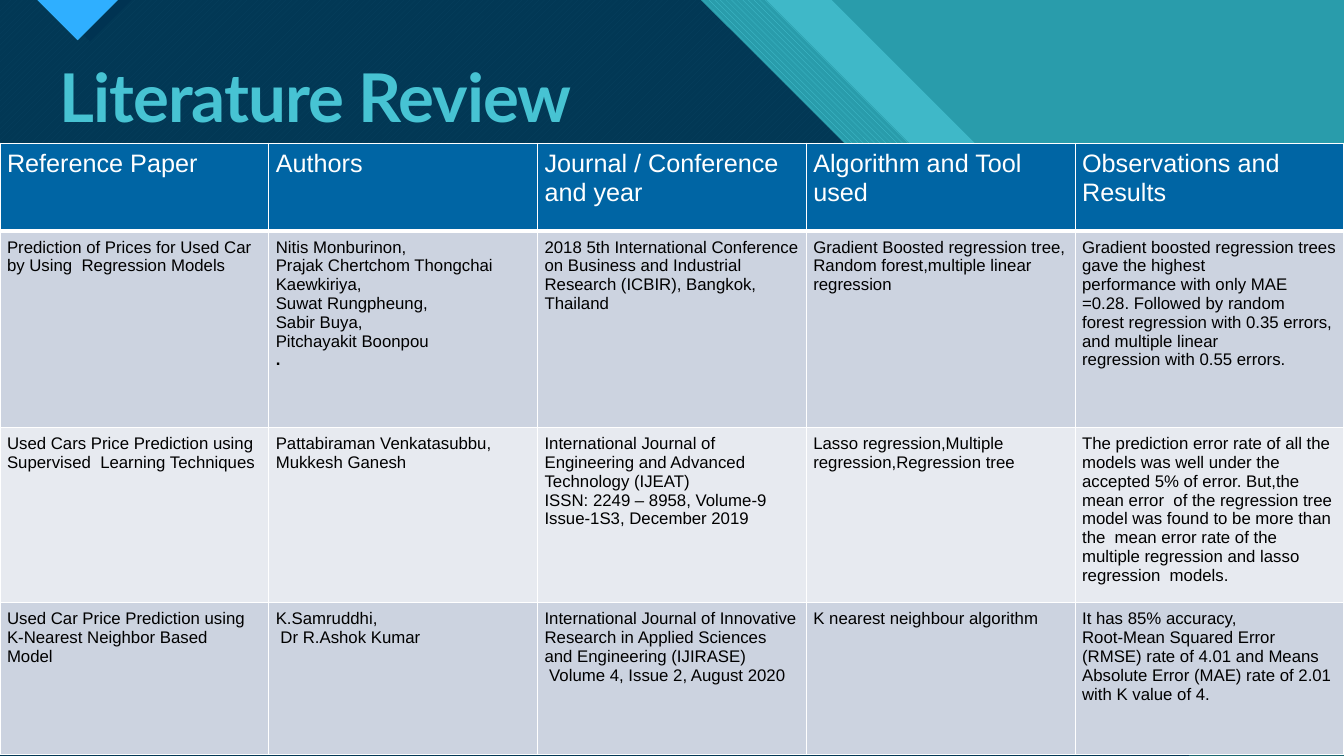
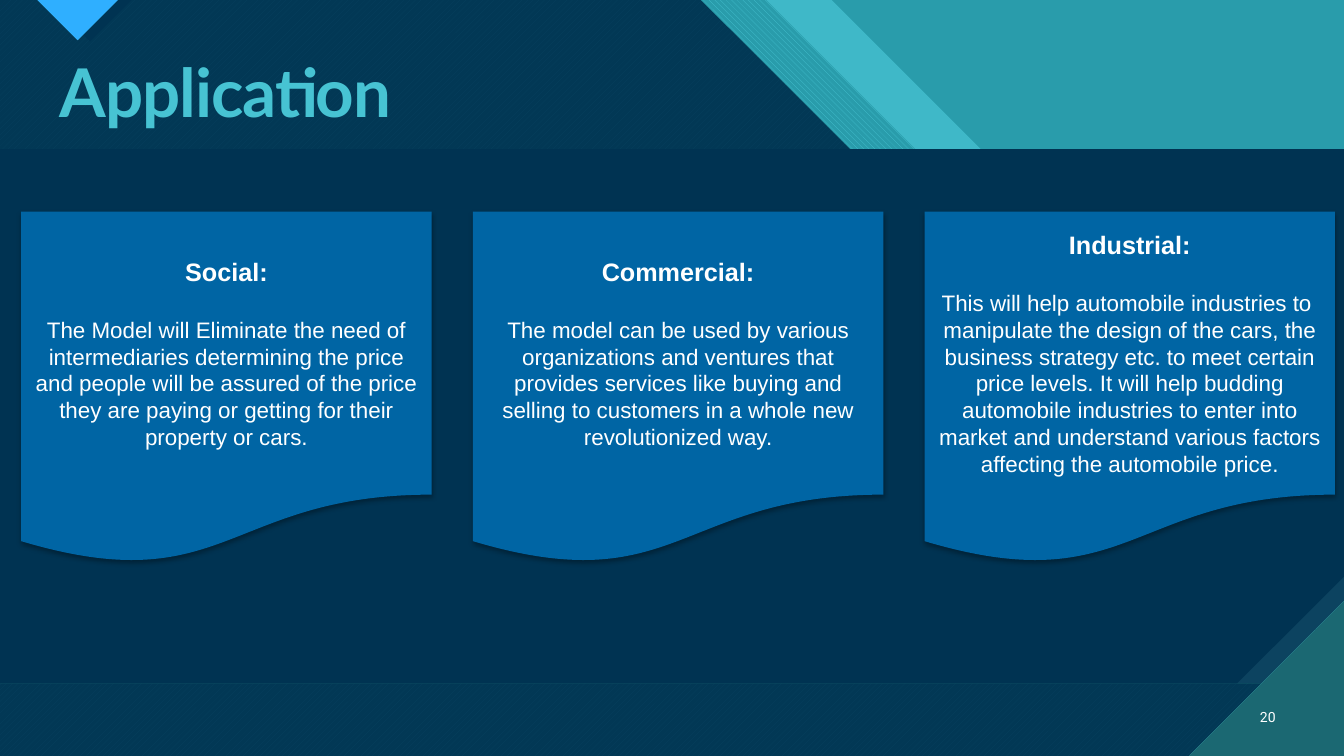
"""Build a literature review table slide and an application cards slide."""
from dataclasses import dataclass
from typing import Optional

from lxml import etree
from pptx import Presentation
from pptx.dml.color import RGBColor
from pptx.enum.dml import MSO_PATTERN
from pptx.enum.shapes import MSO_SHAPE
from pptx.enum.text import MSO_ANCHOR, MSO_AUTO_SIZE, PP_ALIGN
from pptx.oxml.ns import qn
from pptx.util import Emu, Inches, Pt

RECT, SNIP = MSO_SHAPE.RECTANGLE, MSO_SHAPE.SNIP_1_RECTANGLE
TRIANGLE, CORNER = MSO_SHAPE.ISOSCELES_TRIANGLE, MSO_SHAPE.RIGHT_TRIANGLE
DOCUMENT = MSO_SHAPE.FLOWCHART_DOCUMENT
DOWN_DIAG, UP_DIAG = MSO_PATTERN.WIDE_DOWNWARD_DIAGONAL, MSO_PATTERN.WIDE_UPWARD_DIAGONAL
DARK_HORZ, DARK_VERT = MSO_PATTERN.DARK_HORIZONTAL, MSO_PATTERN.DARK_VERTICAL
TOP, MIDDLE = MSO_ANCHOR.TOP, MSO_ANCHOR.MIDDLE
LEFT, CENTER, RIGHT = PP_ALIGN.LEFT, PP_ALIGN.CENTER, PP_ALIGN.RIGHT
WIDTH, HEIGHT = Inches(13.33), Inches(7.5)
TITLE_ONLY = 5


@dataclass(frozen=True)
class Theme:
    """Colours, fonts and type sizes of the deck."""
    teal: str = "299CAB"
    light: str = "47C3D3"
    deep: str = "1B6872"
    navy: str = "003352"
    slate: str = "0C4360"
    sky: str = "2FAFFF"
    blue: str = "0065A4"
    row_dark: str = "CCD3E0"
    row_light: str = "E7EAF0"
    white: str = "FFFFFF"
    black: str = "000000"
    title_font: str = "Lato"
    body_font: str = "Arial"
    number_font: str = "Roboto"
    title_size: int = 48
    head_size: int = 18
    card_size: int = 16
    cell_size: int = 12
    number_size: int = 10


T = Theme()


@dataclass(frozen=True)
class Paint:
    """A solid, translucent or patterned fill."""
    colour: str
    alpha: int = 100
    pattern: Optional[int] = None
    back: str = T.deep


@dataclass(frozen=True)
class Box:
    """A frame in percent of the slide's width and height."""
    left: float
    top: float
    width: float
    height: float

    def emu(self) -> tuple:
        """Return the frame as left, top, width and height in EMU."""
        return px(self.left), py(self.top), px(self.width), py(self.height)


@dataclass(frozen=True)
class Band:
    """A field whose right edge slopes down from a point on the top edge."""
    start: float
    paint: Paint


@dataclass(frozen=True)
class Layer:
    """A preset shape of the backdrop."""
    preset: int
    box: Box
    paint: Paint
    flip: str = ""
    adjust: Optional[float] = None


@dataclass(frozen=True)
class Card:
    """A heading and the text below it."""
    heading: str
    text: str


SLOPE_RUN, SLOPE_DROP = 22.28, 39.6
PANEL = Box(0, 19.73, 100, 70.67)
BANDS = [
    Band(61.88, Paint(T.light, 74)),
    Band(57, Paint(T.light, pattern=DOWN_DIAG, back=T.teal)),
    Band(52.14, Paint(T.light, pattern=UP_DIAG)),
    Band(52.14, Paint(T.navy, 90)),
]
LAYERS = [
    Layer(TRIANGLE, Box(3.6, 0, 6.2, 5.47), Paint(T.navy), "flipV"),
    Layer(TRIANGLE, Box(2.78, 0, 6, 5.33), Paint(T.sky, pattern=DARK_HORZ), "flipV"),
    Layer(RECT, PANEL, Paint(T.slate, pattern=DARK_VERT)),
    Layer(SNIP, PANEL, Paint(T.navy), "flipV", 0.2),
    Layer(CORNER, Box(88.45, 79.47, 11.55, 20.53),
          Paint(T.deep, pattern=DARK_HORZ, back=T.light), "flipH"),
]

TABLE_TOP = 18.93
ROW_HEIGHTS = [11.6, 26, 23.2, 20.13]
ROW_FILLS = [T.blue, T.row_dark, T.row_light, T.row_dark]
REVIEW = [
    ["Reference Paper", "Authors", "Journal / Conference and year",
     "Algorithm and Tool used", "Observations and Results"],
    ["Prediction of Prices for Used Car by Using  Regression Models",
     "Nitis Monburinon,\nPrajak Chertchom Thongchai Kaewkiriya,\nSuwat Rungpheung,\n"
     "Sabir Buya,\nPitchayakit Boonpou\n.",
     "2018 5th International Conference on Business and Industrial Research (ICBIR), "
     "Bangkok, Thailand",
     "Gradient Boosted regression tree,\nRandom forest,multiple linear regression",
     "Gradient boosted regression trees gave the highest\n"
     "performance with only MAE =0.28. Followed by random\n"
     "forest regression with 0.35 errors, and multiple linear\n"
     "regression with 0.55 errors."],
    ["Used Cars Price Prediction using Supervised  Learning Techniques",
     "Pattabiraman Venkatasubbu, Mukkesh Ganesh",
     "International Journal of Engineering and Advanced Technology (IJEAT)\n"
     "ISSN: 2249 – 8958, Volume-9 Issue-1S3, December 2019",
     "Lasso regression,Multiple regression,Regression tree",
     "The prediction error rate of all the models was well under the  accepted 5% of "
     "error. But,the mean error  of the regression tree model was found to be more than "
     "the  mean error rate of the multiple regression and lasso regression  models."],
    ["Used Car Price Prediction using K-Nearest Neighbor Based\nModel",
     "K.Samruddhi,\n Dr R.Ashok Kumar",
     "International Journal of Innovative Research in Applied Sciences and Engineering "
     "(IJIRASE)\n Volume 4, Issue 2, August 2020",
     "K nearest neighbour algorithm",
     "It has 85% accuracy,\nRoot-Mean Squared Error (RMSE) rate of 4.01 and Means\n"
     "Absolute Error (MAE) rate of 2.01 with K value of 4."],
]

FIRST_CARD = Box(1.58, 28, 30.53, 46.67)
CARD_PITCH = 33.61
CARDS = [
    Card("Social:",
         "The Model will Eliminate the need of intermediaries determining the price and "
         "people will be assured of the price they are paying or getting for their "
         "property or cars."),
    Card("Commercial:",
         "The model can be used by various organizations and ventures that provides "
         "services like buying and selling to customers in a whole new revolutionized way."),
    Card("Industrial:",
         "This will help automobile industries to  manipulate the design of the cars, the "
         "business strategy etc. to meet certain price levels. It will help budding "
         "automobile industries to enter into market and understand various factors "
         "affecting the automobile price."),
]


def px(share: float) -> Emu:
    """Turn a percentage of the slide's width into EMU."""
    return Emu(round(WIDTH * share / 100))


def py(share: float) -> Emu:
    """Turn a percentage of the slide's height into EMU."""
    return Emu(round(HEIGHT * share / 100))


def rgb(colour: str) -> RGBColor:
    """Return the colour object of a hex string."""
    return RGBColor.from_string(colour)


def apply_paint(sp, paint: Paint) -> None:
    """Fill a shape and take away its line and shadow."""
    sp.shadow.inherit = False
    sp.line.fill.background()
    fill = sp.fill
    if paint.pattern is None:
        fill.solid()
    else:
        fill.patterned()
        fill.pattern = paint.pattern
        fill.back_color.rgb = rgb(paint.back)
    fill.fore_color.rgb = rgb(paint.colour)
    if paint.alpha < 100:
        clr = next(sp._element.spPr.iter(qn("a:srgbClr")))
        etree.SubElement(clr, qn("a:alpha"), val=str(paint.alpha * 1000))


def style(p, font: str, size: int, colour: str, bold: bool = False, align=LEFT) -> None:
    """Set the font and alignment of a paragraph."""
    p.alignment = align
    p.font.name, p.font.size, p.font.bold = font, Pt(size), bold
    p.font.color.rgb = rgb(colour)


def add_band(s, band: Band):
    """Draw one sloping band."""
    points = [(band.start, 0), (band.start + SLOPE_RUN, SLOPE_DROP),
              (100, SLOPE_DROP), (100, 100), (0, 100)]
    builder = s.shapes.build_freeform(0, 0)
    builder.add_line_segments([(px(x), py(y)) for x, y in points])
    sp = builder.convert_to_shape()
    apply_paint(sp, band.paint)
    return sp


def add_layer(s, layer: Layer):
    """Draw one preset shape of the backdrop."""
    sp = s.shapes.add_shape(layer.preset, *layer.box.emu())
    if layer.flip:
        sp._element.spPr.xfrm.set(layer.flip, "1")
    if layer.adjust is not None:
        sp.adjustments[0] = layer.adjust
    apply_paint(sp, layer.paint)
    return sp


def move_backdrop(s, layout) -> None:
    """Draw the backdrop and hand it to the layout that the slides share."""
    layout.background.fill.solid()
    layout.background.fill.fore_color.rgb = rgb(T.teal)
    shapes = [add_band(s, band) for band in BANDS] + [add_layer(s, layer) for layer in LAYERS]
    for n, sp in enumerate(shapes, start=2):
        layout.shapes.element.insert(n, sp.element)


def set_title(s, text: str, top: float) -> None:
    """Place and format the title placeholder."""
    sp = s.shapes.title
    sp.left, sp.top, sp.width, sp.height = Box(3.68, top, 91.97, 11.07).emu()
    tf = sp.text_frame
    tf.text, tf.auto_size, tf.vertical_anchor = text, MSO_AUTO_SIZE.NONE, TOP
    p = tf.paragraphs[0]
    p.line_spacing = 0.9
    style(p, T.title_font, T.title_size, T.light, bold=True)
    p.runs[0]._r.get_or_add_rPr().set("spc", "-70")


def set_borders(cell, top: int, bottom: int) -> None:
    """Give a cell white borders, one point wide at the sides."""
    tcPr = cell._tc.get_or_add_tcPr()
    for n, (side, width) in enumerate([("L", 1), ("R", 1), ("T", top), ("B", bottom)]):
        ln = etree.Element(qn("a:ln" + side), w=str(Pt(width)))
        fill = etree.SubElement(ln, qn("a:solidFill"))
        etree.SubElement(fill, qn("a:srgbClr"), val=T.white)
        tcPr.insert(n, ln)


def add_review_table(s) -> None:
    """Draw the table of reviewed papers across the slide."""
    box = Box(0, TABLE_TOP, 100, sum(ROW_HEIGHTS))
    table = s.shapes.add_table(len(REVIEW), len(REVIEW[0]), *box.emu()).table
    for i, texts in enumerate(REVIEW):
        table.rows[i].height = py(ROW_HEIGHTS[i])
        size, colour = (T.cell_size, T.black) if i else (T.head_size, T.white)
        for j, text in enumerate(texts):
            cell = table.cell(i, j)
            cell.text = text
            cell.margin_left = cell.margin_right = Inches(0.07)
            cell.margin_top = cell.margin_bottom = Inches(0.07)
            cell.fill.solid()
            cell.fill.fore_color.rgb = rgb(ROW_FILLS[i])
            set_borders(cell, 3 if i == 1 else 1, 3 if i == 0 else 1)
            for p in cell.text_frame.paragraphs:
                style(p, T.body_font, size, colour, bold=p.text == ".")


def add_drop_shadow(sp) -> None:
    """Add a soft shadow below a shape."""
    effects = sp._element.spPr.find(qn("a:effectLst"))
    shadow = etree.SubElement(effects, qn("a:outerShdw"), blurRad=str(Pt(3.5)),
                              dist=str(Pt(2.2)), dir="5400000", rotWithShape="0")
    clr = etree.SubElement(shadow, qn("a:srgbClr"), val=T.black)
    etree.SubElement(clr, qn("a:alpha"), val="32000")


def add_card(s, card: Card, column: int) -> None:
    """Draw one application card in its column."""
    first = FIRST_CARD
    box = Box(first.left + column * CARD_PITCH, first.top, first.width, first.height)
    sp = s.shapes.add_shape(DOCUMENT, *box.emu())
    apply_paint(sp, Paint(T.blue))
    add_drop_shadow(sp)
    tf = sp.text_frame
    tf.word_wrap, tf.vertical_anchor = True, MIDDLE
    tf.text = f"{card.heading}\n{card.text}"
    heading, body = tf.paragraphs
    style(heading, T.body_font, T.head_size, T.white, bold=True, align=CENTER)
    heading.space_after = Pt(21)
    style(body, T.body_font, T.card_size, T.white, align=CENTER)


def add_slide_number(s, number: str) -> None:
    """Write the slide number in the lower right corner."""
    tf = s.shapes.add_textbox(*Box(92.35, 92.13, 3.3, 5.33).emu()).text_frame
    tf.word_wrap, tf.vertical_anchor, tf.text = True, MIDDLE, number
    style(tf.paragraphs[0], T.number_font, T.number_size, T.white, align=RIGHT)


def main() -> None:
    """Build and save the deck."""
    prs = Presentation()
    prs.slide_width, prs.slide_height = WIDTH, HEIGHT
    layout = prs.slide_layouts[TITLE_ONLY]
    review, application = (prs.slides.add_slide(layout) for _ in range(2))
    move_backdrop(review, layout)
    set_title(review, "Literature Review", 7.87)
    add_review_table(review)
    set_title(application, "Application", 7.2)
    add_slide_number(application, "20")
    for column, card in enumerate(CARDS):
        add_card(application, card, column)
    prs.save("out.pptx")


if __name__ == "__main__":
    main()
